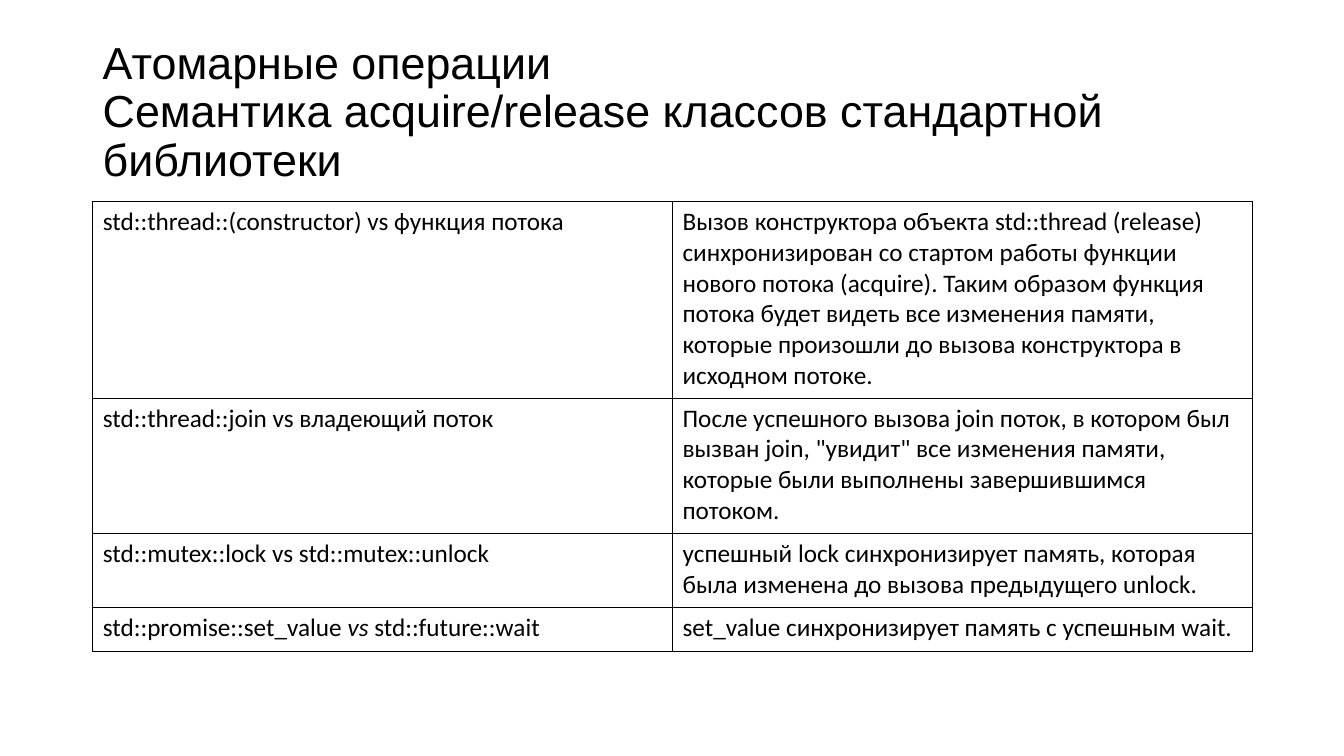
from lxml import etree
from pptx import Presentation
from pptx.dml.color import RGBColor
from pptx.enum.text import MSO_ANCHOR
from pptx.oxml.ns import qn
from pptx.util import Inches, Pt

MIDDLE = MSO_ANCHOR.MIDDLE
COLORS = {"text": "000000", "line": "000000", "cell": "FFFFFF"}

TITLE = "Атомарные операции\nСемантика acquire/release классов стандартной библиотеки"

# Row height, left cell, right cell; a cell is a list of (text, italic) runs
ROWS = [
    (1.95, [("std::thread::(constructor) vs функция потока", False)],
     [("Вызов конструктора объекта std::thread (release) синхронизирован "
       "со стартом работы функции нового потока (acquire). Таким образом "
       "функция потока будет видеть все изменения памяти, которые произошли "
       "до вызова конструктора в исходном потоке.", False)]),
    (1.34, [("std::thread::join vs владеющий поток", False)],
     [("После успешного вызова join поток, в котором был вызван join, "
       "\"увидит\" все изменения памяти, которые были выполнены "
       "завершившимся потоком.", False)]),
    (0.74, [("std::mutex::lock vs std::mutex::unlock", False)],
     [("успешный lock синхронизирует память, которая была изменена "
       "до вызова предыдущего unlock.", False)]),
    (0.43, [("std::promise::set_value", False), (" vs ", True),
            ("std::future::wait", False)],
     [("set_value синхронизирует память с успешным wait.", False)]),
]


def set_font(para, name, size):
    para.font.name = name
    para.font.size = Pt(size)
    para.font.color.rgb = RGBColor.from_string(COLORS["text"])


def add_title(slide, left, top, width, height):
    box = slide.shapes.add_textbox(Inches(left), Inches(top),
                                   Inches(width), Inches(height))
    frame = box.text_frame
    frame.word_wrap = True
    frame.vertical_anchor = MIDDLE
    para = frame.paragraphs[0]
    para.text = TITLE
    para.line_spacing = 0.9
    set_font(para, "Arial", 32)


def add_border(cell):
    props = cell._tc.get_or_add_tcPr()
    for side in ("lnL", "lnR", "lnT", "lnB"):
        line = etree.SubElement(props, qn("a:" + side), w=str(Pt(1)))
        fill = etree.SubElement(line, qn("a:solidFill"))
        etree.SubElement(fill, qn("a:srgbClr"), val=COLORS["line"])


def fill_cell(cell, runs):
    cell.margin_left = cell.margin_right = Inches(0.1)
    cell.margin_top, cell.margin_bottom = Inches(0.05), Inches(0.07)
    add_border(cell)
    cell.fill.solid()
    cell.fill.fore_color.rgb = RGBColor.from_string(COLORS["cell"])
    para = cell.text_frame.paragraphs[0]
    set_font(para, "Calibri", 18)
    for text, italic in runs:
        run = para.add_run()
        run.text = text
        if italic:
            run.font.italic = True


def add_grid(slide, left, top, width):
    height = sum(row[0] for row in ROWS)
    table = slide.shapes.add_table(len(ROWS), 2, Inches(left), Inches(top),
                                   Inches(width), Inches(height)).table
    table.first_row = False
    table.horz_banding = False
    for i, (tall, *cells) in enumerate(ROWS):
        table.rows[i].height = Inches(tall)
        for j, runs in enumerate(cells):
            fill_cell(table.cell(i, j), runs)


def main():
    deck = Presentation()
    deck.slide_width, deck.slide_height = Inches(13.33), Inches(7.5)
    slide = deck.slides.add_slide(deck.slide_layouts[6])
    add_title(slide, 0.92, 0.4, 10.36, 1.45)
    add_grid(slide, 0.92, 2, 11.5)
    deck.save("out.pptx")


if __name__ == "__main__":
    main()
